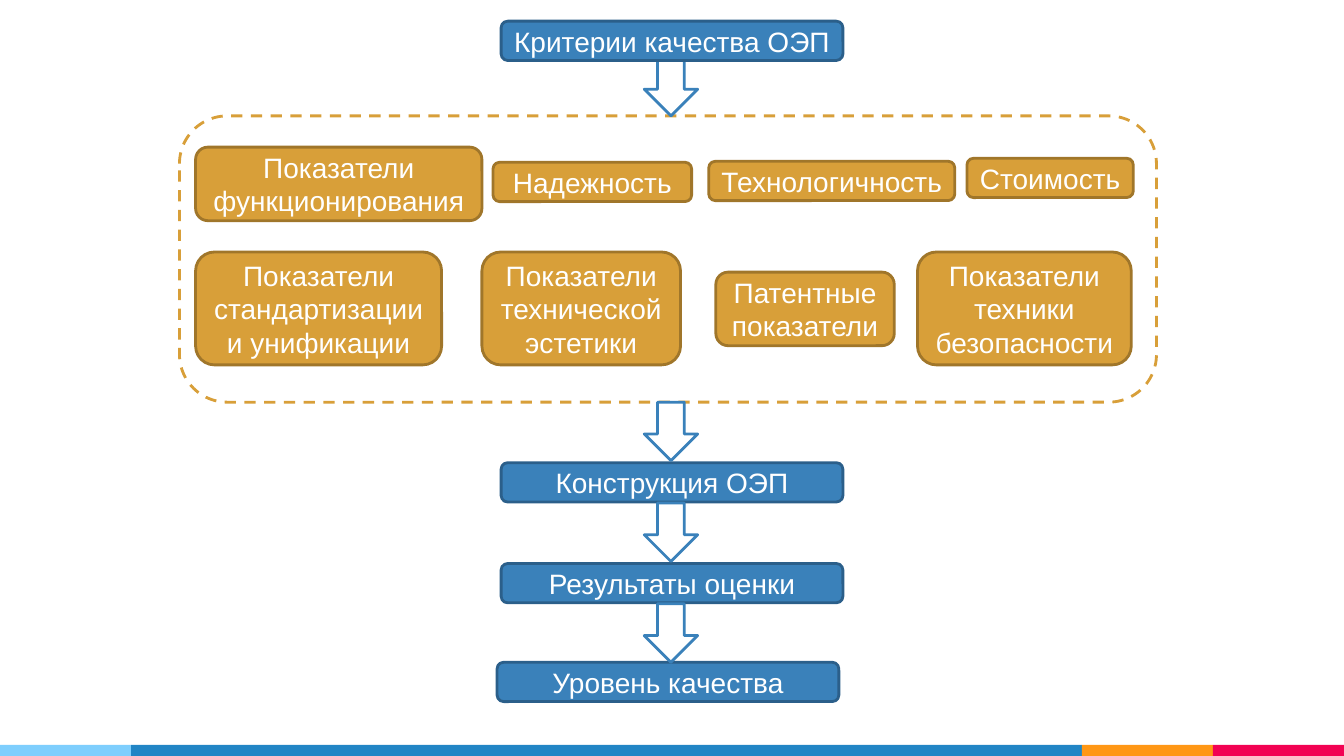
from dataclasses import dataclass

from pptx import Presentation
from pptx.dml.color import RGBColor
from pptx.enum.dml import MSO_LINE
from pptx.enum.shapes import MSO_SHAPE
from pptx.enum.text import MSO_ANCHOR, PP_ALIGN
from pptx.util import Pt

PX = 9144  # EMU in one px, 100 px to the inch


@dataclass(frozen=True)
class Theme:
    white: str = "FFFFFF"
    gold: str = "D89F39"
    gold_edge: str = "A0762A"
    blue: str = "3A81BA"
    blue_edge: str = "2B5F8A"
    bar_sky: str = "7ECEFD"
    bar_blue: str = "2185C5"
    bar_orange: str = "FF9715"
    bar_red: str = "F20253"
    font: str = "Arial"
    text_size: int = 20
    line_width: int = 2


THEME = Theme()


def add_block(s, kind, box, fill, edge=None):
    sp = s.shapes.add_shape(kind, *(v * PX for v in box))
    sp.shadow.inherit = False
    sp.fill.solid()
    sp.fill.fore_color.rgb = RGBColor.from_string(fill)
    if edge:
        sp.line.color.rgb = RGBColor.from_string(edge)
        sp.line.width = Pt(THEME.line_width)
    else:
        sp.line.fill.background()
    return sp


def add_label(s, box, text, fill, edge):
    """Rounded box with centred text; a single word stays on one line."""
    sp = add_block(s, MSO_SHAPE.ROUNDED_RECTANGLE, box, fill, edge)
    tf = sp.text_frame
    tf.word_wrap = " " in text
    tf.vertical_anchor = MSO_ANCHOR.MIDDLE
    p = tf.paragraphs[0]
    p.alignment = PP_ALIGN.CENTER
    r = p.add_run()
    r.text = text
    for name, value in {"name": THEME.font, "size": Pt(THEME.text_size)}.items():
        setattr(r.font, name, value)
    r.font.color.rgb = RGBColor.from_string(THEME.white)


def add_footer_bars(s, box):
    left, top, width, height = box
    side = 130
    wide = width - 3 * side
    for bar_width, color in (
        (side, THEME.bar_sky),
        (wide, THEME.bar_blue),
        (side, THEME.bar_orange),
        (side, THEME.bar_red),
    ):
        add_block(s, MSO_SHAPE.RECTANGLE, (left, top, bar_width, height), color)
        left += bar_width


def add_criteria_panel(s, box):
    """Dashed frame with two rows of criteria, each row centred on one line."""
    left, top, width, height = box
    panel = add_block(s, MSO_SHAPE.ROUNDED_RECTANGLE, box, THEME.white, THEME.gold)
    panel.line.dash_style = MSO_LINE.DASH
    criteria = (
        # x, y inside the panel, width, height, text
        (16, 31, 284, 73, "Показатели функционирования"),
        (311, 46, 197, 39, "Надежность"),
        (525, 45, 244, 39, "Технологичность"),
        (781, 42, 165, 39, "Стоимость"),
        (16, 135, 244, 112, "Показатели стандартизации и унификации"),
        (300, 135, 197, 112, "Показатели технической эстетики"),
        (532, 155, 177, 73, "Патентные показатели"),
        (732, 135, 212, 112, "Показатели техники безопасности"),
    )
    for x, y, w, h, text in criteria:
        add_label(s, (left + x, top + y, w, h), text, THEME.gold, THEME.gold_edge)


def add_stage(s, box, text):
    add_label(s, box, text, THEME.blue, THEME.blue_edge)


def add_down_arrow(s, center, top, bottom):
    width = 53
    box = (center - width // 2, top, width, bottom - top)
    add_block(s, MSO_SHAPE.DOWN_ARROW, box, THEME.white, THEME.blue)


def add_quality_flow(s, box):
    """Criteria panel between the first stage and the three that follow."""
    left, top, width, height = box
    center = left + width // 2 + 3
    stage_left, stage_width, stage_height = left + 319, 339, 39
    panel_top, panel_height = top + 94, 284

    add_criteria_panel(s, (left, panel_top, width, panel_height))
    for x, y, text in (
        (stage_left, 438, "Конструкция ОЭП"),
        (stage_left, 538, "Результаты оценки"),
        (stage_left - 4, 636, "Уровень качества"),
    ):
        add_stage(s, (x, top + y, stage_width, stage_height), text)

    add_down_arrow(s, center, top + stage_height, panel_top)
    panel_bottom = panel_top + panel_height
    for step in range(3):
        start = panel_bottom + 100 * step
        add_down_arrow(s, center, start, start + 58)
    add_stage(s, (stage_left, top, stage_width, stage_height), "Критерии качества ОЭП")


def main():
    prs = Presentation()
    prs.slide_width, prs.slide_height = 1333 * PX, 750 * PX
    s = prs.slides.add_slide(prs.slide_layouts[6])
    add_footer_bars(s, (0, 739, 1333, 11))
    add_quality_flow(s, (178, 21, 969, 675))
    prs.save("out.pptx")


if __name__ == "__main__":
    main()
